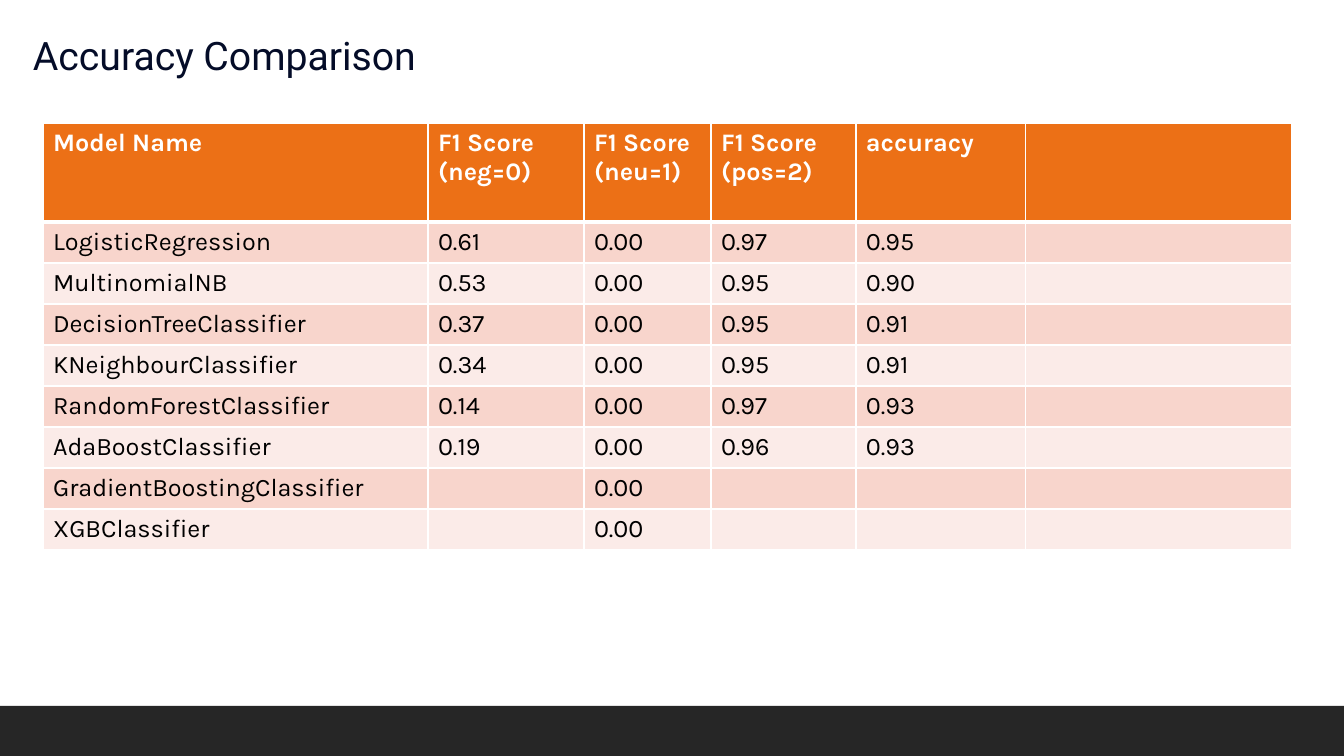
from lxml import etree
from pptx import Presentation
from pptx.dml.color import RGBColor
from pptx.enum.shapes import MSO_SHAPE
from pptx.enum.text import MSO_AUTO_SIZE
from pptx.oxml.ns import qn
from pptx.util import Emu, Pt

RECT = MSO_SHAPE.RECTANGLE
GROW = MSO_AUTO_SIZE.SHAPE_TO_FIT_TEXT

TITLE = "Accuracy Comparison"
HEADER = ["Model Name", "F1 Score (neg=0)", "F1 Score (neu=1)", "F1 Score (pos=2)", "accuracy", ""]
MODELS = [
    ("LogisticRegression", "0.61", "0.00", "0.97", "0.95", ""),
    ("MultinomialNB", "0.53", "0.00", "0.95", "0.90", ""),
    ("DecisionTreeClassifier", "0.37", "0.00", "0.95", "0.91", ""),
    ("KNeighbourClassifier", "0.34", "0.00", "0.95", "0.91", ""),
    ("RandomForestClassifier", "0.14", "0.00", "0.97", "0.93", ""),
    ("AdaBoostClassifier", "0.19", "0.00", "0.96", "0.93", ""),
    ("GradientBoostingClassifier", "", "0.00", "", "", ""),
    ("XGBClassifier", "", "0.00", "", "", ""),
]
COLORS = {
    "title": "040C28", "footer": "262626", "header": "EC7016", "odd": "F8D5CC",
    "even": "FBEBE8", "white": "FFFFFF", "black": "000000",
}
WIDTH, HEIGHT = 1344, 756
FOOTER_H = 50
TABLE_X, TABLE_Y = 43, 123
COL_W = [385, 156, 127, 145, 170, 266]
HEADER_H, ROW_H = 99, 41


def px(n):
    return Emu(round(n * 914400 / 100.8))


def color(name):
    return RGBColor.from_string(COLORS[name])


def write(tf, text, size=18, font="Karla", fill="black", bold=False):
    p = tf.paragraphs[0]
    if not text:
        p.font.size, p.font.name = Pt(size), font
        return
    r = p.add_run()
    r.text = text
    r.font.size, r.font.name, r.font.bold = Pt(size), font, bold
    r.font.color.rgb = color(fill)


def add_borders(cell, **widths):
    tcPr = cell._tc.get_or_add_tcPr()
    for side in "LRTB":
        ln = etree.SubElement(tcPr, qn("a:ln" + side), w=str(Pt(widths.get(side, 1))))
        solid = etree.SubElement(ln, qn("a:solidFill"))
        etree.SubElement(solid, qn("a:srgbClr"), val=COLORS["white"])


def add_scores(s):
    rows = [HEADER, *MODELS]
    heights = [HEADER_H] + [ROW_H] * len(MODELS)
    frame = s.shapes.add_table(len(rows), len(COL_W), px(TABLE_X), px(TABLE_Y),
                               px(sum(COL_W)), px(sum(heights)))
    table = frame.table
    for col, w in zip(table.columns, COL_W):
        col.width = px(w)
    for i, (values, h) in enumerate(zip(rows, heights)):
        table.rows[i].height = px(h)
        head = i == 0
        band = "header" if head else "odd" if i % 2 else "even"
        for j, value in enumerate(values):
            cell = table.cell(i, j)
            add_borders(cell, B=3 if head else 1, T=3 if i == 1 else 1)
            cell.fill.solid()
            cell.fill.fore_color.rgb = color(band)
            write(cell.text_frame, value, fill="white" if head else "black", bold=head)


def main():
    prs = Presentation()
    prs.slide_width, prs.slide_height = px(WIDTH), px(HEIGHT)
    s = prs.slides.add_slide(prs.slide_layouts[6])

    footer = s.shapes.add_shape(RECT, 0, px(HEIGHT - FOOTER_H), px(WIDTH), px(FOOTER_H))
    footer.shadow.inherit = False
    footer.fill.solid()
    footer.fill.fore_color.rgb = color("footer")
    footer.line.fill.background()

    title = s.shapes.add_textbox(px(23), px(26), px(672), px(58))
    tf = title.text_frame
    tf.word_wrap = True
    tf.auto_size = GROW
    write(tf, TITLE, size=28, font="Roboto", fill="title")

    add_scores(s)
    prs.save("out.pptx")


if __name__ == "__main__":
    main()
